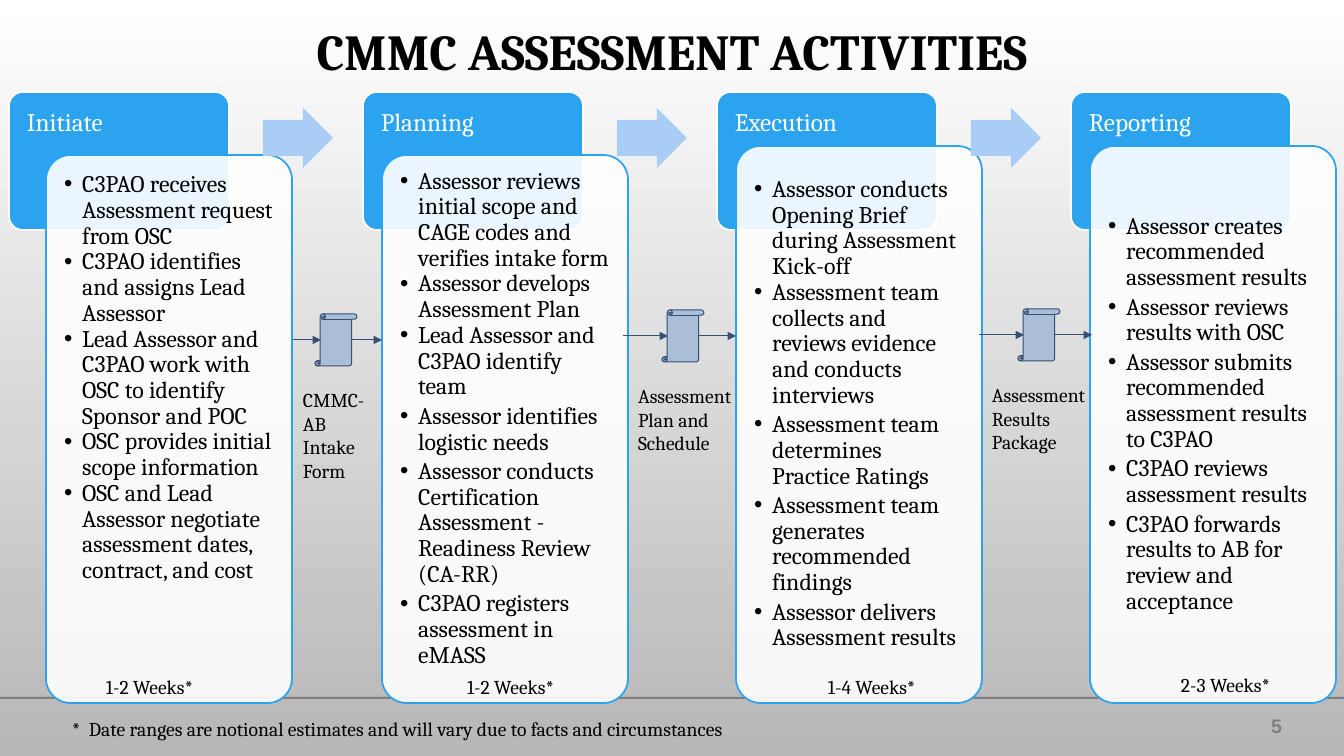
"""Build the assessment activities slide: four phase cards joined by handoffs."""
from lxml.etree import SubElement
from pptx import Presentation
from pptx.dml.color import RGBColor
from pptx.enum.shapes import MSO_CONNECTOR as CONN, MSO_SHAPE as SHAPE
from pptx.enum.text import MSO_ANCHOR as ANCHOR, PP_ALIGN as ALIGN
from pptx.oxml.ns import qn
from pptx.util import Emu, Pt

BLACK = RGBColor(0x00, 0x00, 0x00)
WHITE = RGBColor(0xFF, 0xFF, 0xFF)
SILVER = RGBColor(0xB7, 0xB7, 0xB7)
GRAY = RGBColor(0x7F, 0x7F, 0x7F)
BLUE = RGBColor(0x2C, 0xA3, 0xEE)
PALE_BLUE = RGBColor(0xA9, 0xCD, 0xF4)
SCROLL_BLUE = RGBColor(0xAA, 0xBE, 0xD7)
NAVY = RGBColor(0x35, 0x50, 0x71)

TITLE = "CMMC ASSESSMENT ACTIVITIES"
FOOTNOTE = "*  Date ranges are notional estimates and will vary due to facts and circumstances"
CARD_BOTTOM = 703
PHASE_STEP = 354

# name, card left, card top, anchor, bottom inset, tightly set items, items
PHASES = [
    ("Initiate", 46, 155, ANCHOR.TOP, 10, 5, [
        "C3PAO receives Assessment request from OSC",
        "C3PAO identifies and assigns Lead Assessor",
        "Lead Assessor and C3PAO work with OSC to identify Sponsor and POC",
        "OSC provides initial scope information",
        "OSC and Lead Assessor negotiate assessment dates, contract, and cost"]),
    ("Planning", 382, 155, ANCHOR.MIDDLE, 31, 3, [
        "Assessor reviews initial scope and CAGE codes and verifies intake form",
        "Assessor develops Assessment Plan",
        "Lead Assessor and C3PAO identify team",
        "Assessor identifies logistic needs",
        "Assessor conducts Certification Assessment - Readiness Review (CA-RR)",
        "C3PAO registers assessment in eMASS"]),
    ("Execution", 736, 146, ANCHOR.MIDDLE, 31, 2, [
        "Assessor conducts Opening Brief during Assessment Kick-off",
        "Assessment team collects and reviews evidence and conducts interviews",
        "Assessment team determines Practice Ratings",
        "Assessment team generates recommended findings",
        "Assessor delivers Assessment results"]),
    ("Reporting", 1090, 146, ANCHOR.MIDDLE, 31, 1, [
        "Assessor creates recommended assessment results",
        "Assessor reviews results with OSC",
        "Assessor submits recommended assessment results to C3PAO",
        "C3PAO reviews assessment results",
        "C3PAO forwards results to AB for review and acceptance"]),
]
DURATIONS = [(96, 665, "1-2 Weeks*"), (457, 665, "1-2 Weeks*"),
             (818, 665, "1-4 Weeks*"), (1171, 663, "2-3 Weeks*")]
# scroll left, scroll top, line start, line end, label left, label width, label
HANDOFFS = [
    (315, 314, 293, 382, 293, 85, "CMMC-AB Intake Form"),
    (662, 310, 623, 736, 628, 116, "Assessment Plan and Schedule"),
    (1018, 309, 979, 1092, 982, 116, "Assessment Results Package"),
]


def px(n):
    return Emu(round(n * 914400 / 100.8))


def write(tf, text, size=14, color=BLACK, bold=False, font="Cambria", align=ALIGN.LEFT,
          anchor=ANCHOR.TOP, insets=(10, 10, 10, 10), spacing=1.0, tight=None):
    """Fill a frame with a string, or with bullets when given a list."""
    tf.word_wrap = True
    tf.vertical_anchor = anchor
    tf.margin_left, tf.margin_top, tf.margin_right, tf.margin_bottom = map(px, insets)
    bulleted = isinstance(text, list)
    for i, line in enumerate(text if bulleted else [text]):
        p = tf.add_paragraph() if i else tf.paragraphs[0]
        p.alignment = align
        p.line_spacing = spacing
        p.space_before = Pt(2.7 if bulleted and i >= tight else 0)
        p.space_after = Pt(0)
        if bulleted:
            pPr = p._p.get_or_add_pPr()
            pPr.set("marL", str(px(19)))
            pPr.set("indent", str(px(-18)))
            SubElement(pPr, qn("a:buFont")).set("typeface", "Arial")
            SubElement(pPr, qn("a:buChar")).set("char", "•")
        r = p.add_run()
        r.text = line
        r.font.name, r.font.size, r.font.bold = font, Pt(size), bold
        r.font.color.rgb = color


class Deck:
    """Hold the presentation, its style and the current slide."""

    def __init__(self):
        self.prs = Presentation()
        self.prs.slide_width, self.prs.slide_height = px(1344), px(756)
        self.s = self.prs.slides.add_slide(self.prs.slide_layouts[5])

    def background(self, top, bottom):
        fill = self.s.background.fill
        fill.gradient()
        fill.gradient_angle = 270
        for stop, color in zip(fill.gradient_stops, (top, bottom)):
            stop.color.rgb = color

    def title(self, text, x, y, w, h):
        sp = self.s.shapes.title
        sp.left, sp.top, sp.width, sp.height = map(px, (x, y, w, h))
        write(sp.text_frame, text, size=36, bold=True, align=ALIGN.CENTER,
              anchor=ANCHOR.MIDDLE, insets=(10, 5, 10, 5), spacing=0.9)

    def shape(self, kind, x, y, w, h, fill, line=None, weight=1.25, adj=(), alpha=None):
        sp = self.s.shapes.add_shape(kind, *map(px, (x, y, w, h)))
        sp.shadow.inherit = False
        sp.fill.solid()
        sp.fill.fore_color.rgb = fill
        if alpha:
            clr = sp.fill._xPr.find(qn("a:solidFill"))[0]
            SubElement(clr, qn("a:alpha")).set("val", str(alpha * 1000))
        if line is None:
            sp.line.fill.background()
        else:
            sp.line.color.rgb = line
            sp.line.width = Pt(weight)
        for i, value in enumerate(adj):
            sp.adjustments[i] = value
        return sp

    def text(self, text, x, y, w, h, **fmt):
        sp = self.s.shapes.add_textbox(*map(px, (x, y, w, h)))
        write(sp.text_frame, text, **fmt)

    def arrow(self, x1, x2, y):
        cx = self.s.shapes.add_connector(CONN.STRAIGHT, *map(px, (x1, y, x2, y)))
        cx.line.color.rgb = NAVY
        cx.line.width = Pt(0.75)
        SubElement(cx.line._get_or_add_ln(), qn("a:tailEnd")).set("type", "triangle")
        SubElement(cx._element.spPr, qn("a:effectLst"))

    def phase(self, x, name, card_x, card_y, anchor, bottom, tight, items):
        sp = self.shape(SHAPE.ROUNDED_RECTANGLE, x, 92, 220, 138, BLUE, WHITE, adj=[0.1])
        write(sp.text_frame, name, size=18, color=WHITE, insets=(14, 14, 14, 7), spacing=0.9)
        sp = self.shape(SHAPE.ROUNDED_RECTANGLE, card_x, card_y, 246, CARD_BOTTOM - card_y,
                        WHITE, BLUE, adj=[0.1], alpha=90)
        write(sp.text_frame, items, size=17, anchor=anchor, insets=(10, 10, 10, bottom),
              spacing=0.9, tight=tight)

    def handoff(self, x, y, start, end, label_x, label_w, label):
        self.shape(SHAPE.VERTICAL_SCROLL, x, y, 42, 52, SCROLL_BLUE, NAVY, weight=0.75)
        self.arrow(start, x + 6, y + 26)
        self.arrow(x + 37, end, y + 26)
        self.text(label, label_x, y + 64, label_w, 105)


def main():
    deck = Deck()
    deck.background(WHITE, SILVER)
    deck.text("5", 1223, 706, 59, 40, font="Arial", color=GRAY, bold=True,
              align=ALIGN.RIGHT, anchor=ANCHOR.MIDDLE, insets=(0, 0, 0, 0))
    deck.shape(SHAPE.RECTANGLE, 0, 697, 1344, 2, GRAY)
    deck.title(TITLE, 126, 16, 1092, 76)
    for i, phase in enumerate(PHASES):
        x = 9 + PHASE_STEP * i
        deck.phase(x, *phase)
        if i < len(PHASES) - 1:
            deck.shape(SHAPE.RIGHT_ARROW, x + 254, 108, 70, 60, PALE_BLUE, adj=[0.6, 0.5])
    for x, y, weeks in DURATIONS:
        deck.text(weeks, x, y, 149, 37)
    deck.text(FOOTNOTE, 62, 707, 777, 40)
    for handoff in HANDOFFS:
        deck.handoff(*handoff)
    deck.prs.save("out.pptx")


if __name__ == "__main__":
    main()
